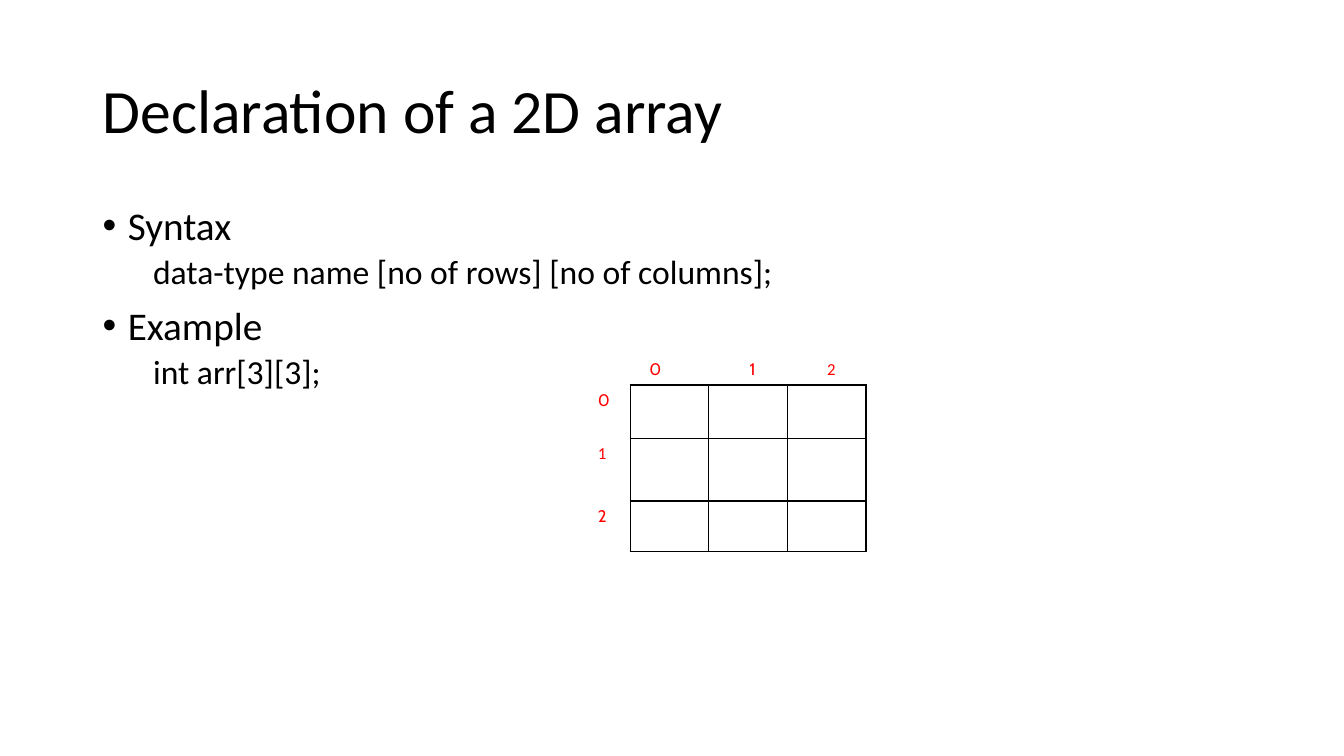
from dataclasses import dataclass

import pptx
import pptx.dml.color
import pptx.enum.text
import pptx.oxml.ns
import pptx.util
from lxml import etree

Inches = pptx.util.Inches
Pt = pptx.util.Pt
RGBColor = pptx.dml.color.RGBColor
qn = pptx.oxml.ns.qn


@dataclass(frozen=True)
class Theme:
    font: str = "Calibri"
    index_font: str = "Cabin"
    text: str = "000000"
    index: str = "FF0000"
    paper: str = "FFFFFF"
    title_size: int = 44
    topic_size: int = 28
    code_size: int = 24
    index_size: int = 12


theme = Theme()


def style(paragraph, font, size, color, line_spacing):
    paragraph.line_spacing = line_spacing
    paragraph.font.name = font
    paragraph.font.size = Pt(size)
    paragraph.font.color.rgb = RGBColor.from_string(color)


def set_borders(cell, drawn_sides):
    """Draw a 1 pt line on the sides named (of L, R, T, B) and none on the others."""
    properties = cell._tc.get_or_add_tcPr()
    for side in "LRTB":
        line = etree.SubElement(properties, qn(f"a:ln{side}"), w=str(Pt(1)))
        if side in drawn_sides:
            fill = etree.SubElement(line, qn("a:solidFill"))
            etree.SubElement(fill, qn("a:srgbClr"), val=theme.text)
        else:
            etree.SubElement(line, qn("a:noFill"))


presentation = pptx.Presentation()
presentation.slide_width = Inches(13.33)
presentation.slide_height = Inches(7.5)
slide = presentation.slides.add_slide(presentation.slide_layouts[6])

# Title
title = slide.shapes.add_textbox(Inches(0.92), Inches(0.4), Inches(11.5), Inches(1.45)).text_frame
title.word_wrap = True
title.vertical_anchor = pptx.enum.text.MSO_ANCHOR.MIDDLE
title.text = "Declaration of a 2D array"
style(title.paragraphs[0], theme.font, theme.title_size, theme.text, 0.9)

# Topics, each with a line of code
body = slide.shapes.add_textbox(Inches(0.92), Inches(2), Inches(11.5), Inches(4.76)).text_frame
body.word_wrap = True
lines = [
    ("Syntax", 0),
    ("data-type name [no of rows] [no of columns];", 1),
    ("Example", 0),
    ("int arr[3][3];", 1),
]
body.text = "\n".join(text for text, level in lines)
for number, (paragraph, (text, level)) in enumerate(zip(body.paragraphs, lines)):
    properties = paragraph._p.get_or_add_pPr()
    properties.set("marL", str(Inches(0.5 if level else 0.25)))
    properties.set("indent", str(Inches(0 if level else -0.25)))
    if level == 0:
        etree.SubElement(properties, qn("a:buFont"), typeface="Arial")
        etree.SubElement(properties, qn("a:buChar"), char="•")
    paragraph.level = level
    if number:
        paragraph.space_before = Pt(5 if level else 10)
    style(paragraph, theme.font, theme.code_size if level else theme.topic_size, theme.text, 0.9)

# Array grid with row and column indices
column_widths = [0.42, 0.78, 0.78, 0.78]
row_heights = [0.5, 0.53, 0.62, 0.5]
grid = slide.shapes.add_table(
    4, 4, Inches(5.83), Inches(3.32), Inches(sum(column_widths)), Inches(sum(row_heights))
).table
grid.first_row = False
grid.horz_banding = False
for column, width in zip(grid.columns, column_widths):
    column.width = Inches(width)
for row, height in zip(grid.rows, row_heights):
    row.height = Inches(height)

calibri_indices = {(0, 3), (2, 0)}
for row in range(4):
    for column in range(4):
        cell = grid.cell(row, column)
        if row and column:
            sides = "LRTB"
        elif row:
            sides = "R"
        else:
            sides = "B" if column else ""
        set_borders(cell, sides)
        cell.fill.solid()
        cell.fill.fore_color.rgb = RGBColor.from_string(theme.paper)

        if (row == 0) != (column == 0):
            cell.text = str(max(row, column) - 1)
            cell.margin_left = cell.margin_right = Inches(0.01)
            cell.margin_top, cell.margin_bottom = Inches(0.04), Inches(0)
            paragraph = cell.text_frame.paragraphs[0]
            paragraph._p.get_or_add_pPr().set("marL", str(Inches(0.09)))
            if row == 0:
                paragraph.alignment = pptx.enum.text.PP_ALIGN.CENTER
            font = theme.font if (row, column) in calibri_indices else theme.index_font
            style(paragraph, font, theme.index_size, theme.index, 1.07 if row else 2.0)

# The first column index sits left of its cell's centre
grid.cell(0, 1).margin_right = Inches(0.38)

presentation.save("out.pptx")
